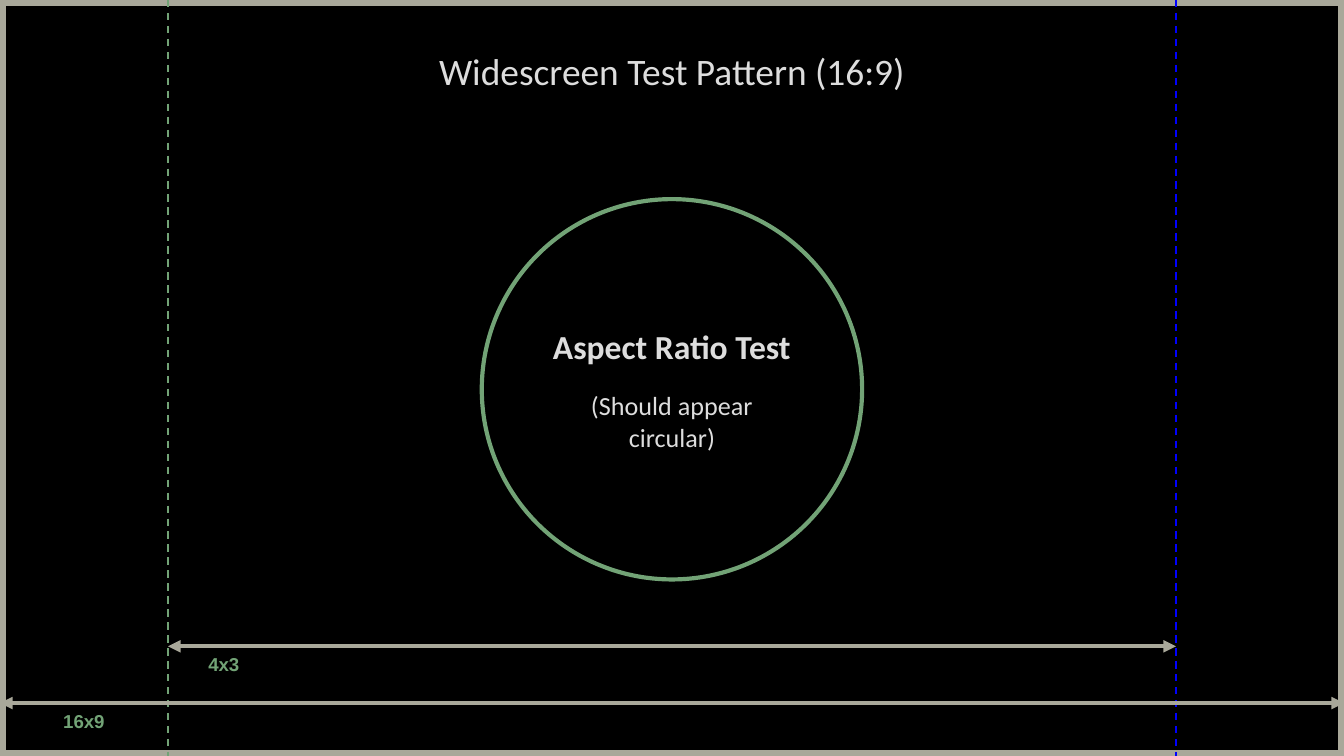
import pptx
import pptx.util
import pptx.dml.color
import pptx.enum.dml
import pptx.enum.shapes
import pptx.enum.text
import pptx.oxml.ns
import lxml.etree

Pt = pptx.util.Pt
ALIGN = pptx.enum.text.PP_ALIGN
ANCHOR = pptx.enum.text.MSO_ANCHOR
SHAPE = pptx.enum.shapes.MSO_SHAPE
COLORS = {"back": "000000", "frame": "A9A89A", "green": "72A376",
          "blue": "0000FF", "text": "DDDDDD"}


def rgb(name):
    return pptx.dml.color.RGBColor.from_string(COLORS[name])


def write(p, text, size, font="Calibri", color="text", bold=False,
          align=ALIGN.CENTER, before=0):
    p.alignment = align
    p.space_before = Pt(before)
    r = p.add_run()
    r.text = text
    r.font.size = Pt(size)
    r.font.name = font
    r.font.bold = bold
    r.font.color.rgb = rgb(color)


prs = pptx.Presentation()
W = prs.slide_width = pptx.util.Inches(10)
H = prs.slide_height = W * 9 // 16
s = prs.slides.add_slide(prs.slide_layouts[5])
s.background.fill.solid()
s.background.fill.fore_color.rgb = rgb("back")

# A 4:3 picture of the same height leaves one eighth of the width on each side
left, right = W // 8, W * 7 // 8
wide_row, narrow_row = int(H * 0.93), int(H * 0.855)

# Title
title = s.shapes.title
title.left, title.top = int(W * 0.075), int(H * 0.055)
title.width, title.height = int(W * 0.85), int(H * 0.16)
tf = title.text_frame
tf.vertical_anchor = ANCHOR.TOP
write(tf.paragraphs[0], "Widescreen Test Pattern (16:9)", 20)

# Frame and circle
d = pptx.util.Inches(2.83)
outlines = [
    (SHAPE.RECTANGLE, 0, 0, W, H, "frame", 6),
    (SHAPE.OVAL, (W - d) // 2, int(H * 0.515) - d // 2, d, d, "green", 2.25),
]
for kind, x, y, w, h, color, weight in outlines:
    sp = s.shapes.add_shape(kind, x, y, w, h)
    sp.shadow.inherit = False
    sp.fill.background()
    sp.line.color.rgb = rgb(color)
    sp.line.width = Pt(weight)

tf = sp.text_frame
tf.word_wrap = True
tf.vertical_anchor = ANCHOR.MIDDLE
write(tf.paragraphs[0], "Aspect Ratio Test", 18, bold=True)
write(tf.add_paragraph(), "(Should appear circular)", 14, before=12.6)

# Dashed 4:3 edges and double-headed width arrows
lines = [
    (left, 0, left, H, "green", 1, False),
    (right, 0, right, H, "blue", 1, False),
    (0, wide_row, W, wide_row, "frame", 2.25, True),
    (left, narrow_row, right, narrow_row, "frame", 2.25, True),
]
for x1, y1, x2, y2, color, weight, arrow in lines:
    cx = s.shapes.add_connector(
        pptx.enum.shapes.MSO_CONNECTOR.STRAIGHT, x1, y1, x2, y2)
    cx.line.color.rgb = rgb(color)
    cx.line.width = Pt(weight)
    if arrow:
        ln = cx.line._get_or_add_ln()
        for end in ("a:headEnd", "a:tailEnd"):
            lxml.etree.SubElement(ln, pptx.oxml.ns.qn(end), type="triangle")
    else:
        cx.line.dash_style = pptx.enum.dml.MSO_LINE.DASH
    lxml.etree.SubElement(cx._element.spPr, pptx.oxml.ns.qn("a:effectLst"))

# Labels under the arrows
for text, x, y in [("16x9", W * 0.042, wide_row), ("4x3", W * 0.15, narrow_row)]:
    box = s.shapes.add_textbox(int(x), y, int(W * 0.058), int(H * 0.048))
    tf = box.text_frame
    tf.word_wrap = True
    tf.margin_left = tf.margin_right = pptx.util.Inches(0.05)
    tf.auto_size = pptx.enum.text.MSO_AUTO_SIZE.SHAPE_TO_FIT_TEXT
    write(tf.paragraphs[0], text, 10, font="Arial", color="green", bold=True,
          align=ALIGN.LEFT)

prs.save("out.pptx")
